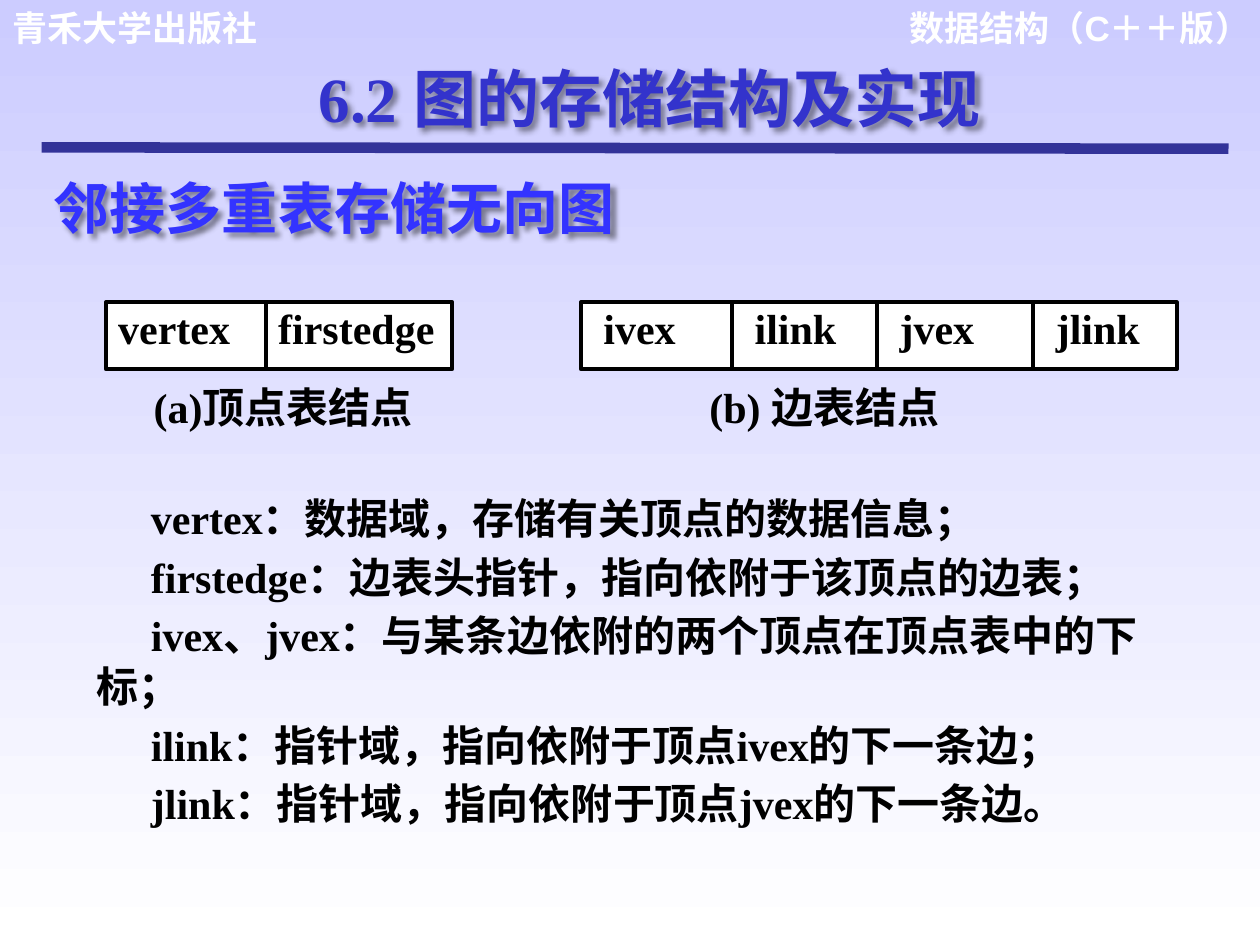
from lxml import etree
from pptx import Presentation
from pptx.dml.color import RGBColor
from pptx.enum.shapes import MSO_CONNECTOR, MSO_SHAPE
from pptx.enum.text import MSO_ANCHOR, PP_ALIGN
from pptx.oxml.ns import qn
from pptx.util import Inches, Pt

LEFT, RIGHT = PP_ALIGN.LEFT, PP_ALIGN.RIGHT
TOP, MIDDLE = MSO_ANCHOR.TOP, MSO_ANCHOR.MIDDLE
RECT, STRAIGHT = MSO_SHAPE.RECTANGLE, MSO_CONNECTOR.STRAIGHT

WHITE = RGBColor(0xFF, 0xFF, 0xFF)
BLACK = RGBColor(0, 0, 0)
LAVENDER = RGBColor(0xCC, 0xCC, 0xFF)
NAVY = RGBColor(0x33, 0x33, 0x99)
TITLE_BLUE = RGBColor(0x33, 0x33, 0xCC)
BRIGHT_BLUE = RGBColor(0x33, 0x33, 0xFF)

SERIF, SANS = "Times New Roman", "Arial"
COLS, ROWS = 100, 75


class Deck:
    """Holds the style and current slide; lengths are grid columns and rows."""

    def __init__(self):
        self.prs = Presentation()
        self.prs.slide_width, self.prs.slide_height = Inches(10), Inches(7.5)
        self.s = self.prs.slides.add_slide(self.prs.slide_layouts[6])

    def x(self, cols):
        return round(self.prs.slide_width * cols / COLS)

    def y(self, rows):
        return round(self.prs.slide_height * rows / ROWS)

    def box(self, left, top, width, height):
        return self.x(left), self.y(top), self.x(width), self.y(height)

    def background(self, start, end):
        fill = self.s.background.fill
        fill.gradient()
        fill.gradient_angle = 270
        for stop, color in zip(fill.gradient_stops, (start, end)):
            stop.color.rgb = color

    def set_text(self, sp, lines, size, color=BLACK, font=SERIF, align=LEFT, anchor=TOP):
        tf = sp.text_frame
        tf.word_wrap = True
        tf.vertical_anchor = anchor
        tf.text = "\n".join(lines)
        for p in tf.paragraphs:
            p.alignment = align
            for r in p.runs:
                r.font.name, r.font.size, r.font.bold = font, Pt(size), True
                r.font.color.rgb = color
        return tf

    def text(self, place, lines, size, **style):
        sp = self.s.shapes.add_textbox(*self.box(*place))
        self.set_text(sp, lines, size, **style)
        return sp

    def heading(self, place, line, size, color):
        """Adds a text box whose letters cast a soft shadow."""
        sp = self.text(place, [line], size, color=color)
        effects = etree.SubElement(sp._element.spPr, qn("a:effectLst"))
        shadow = etree.SubElement(effects, qn("a:outerShdw"), blurRad="38100",
                                  dist="38100", dir="2700000", algn="tl")
        tone = etree.SubElement(shadow, qn("a:srgbClr"), val="000000")
        etree.SubElement(tone, qn("a:alpha"), val="43000")

    def rule(self, x1, y1, x2, y2, color, width):
        line = self.s.shapes.add_connector(
            STRAIGHT, self.x(x1), self.y(y1), self.x(x2), self.y(y2))
        line.line.color.rgb, line.line.width = color, Pt(width)
        etree.SubElement(line._element.spPr, qn("a:effectLst"))

    def record(self, left, top, height, fields, inset):
        """Draws adjoining cells for a node's (name, width) fields."""
        for name, width in fields:
            sp = self.s.shapes.add_shape(RECT, *self.box(left, top, width, height))
            sp.shadow.inherit = False
            sp.fill.solid()
            sp.fill.fore_color.rgb = WHITE
            sp.line.color.rgb, sp.line.width = BLACK, Pt(2.25)
            tf = self.set_text(sp, [name], 24)
            tf.margin_left = self.x(inset)
            tf.margin_right = tf.margin_top = tf.margin_bottom = 0
            left += width

    def caption(self, place, line):
        tf = self.text(place, [line], 24).text_frame
        tf.margin_left = tf.margin_right = tf.margin_top = tf.margin_bottom = 0

    def definitions(self, place, lines, indent):
        sp = self.text(place, lines, 24, anchor=MIDDLE)
        for i, p in enumerate(sp.text_frame.paragraphs):
            p.space_before = Pt(4.8 if i else 0)
            pPr = p._p.get_or_add_pPr()
            pPr.set("marL", "0")
            pPr.set("indent", str(self.x(indent)))


def main():
    deck = Deck()
    deck.background(LAVENDER, WHITE)
    deck.text((70, 0, 30.2, 4.3), ["数据结构（C＋＋版）"], 20,
              color=WHITE, font=SANS, align=RIGHT)
    deck.text((0, 0, 27.1, 4.3), ["青禾大学出版社"], 20, color=WHITE, font=SANS)
    deck.rule(3.3, 11.7, 97.5, 11.8, NAVY, 6)

    deck.heading((24.3, 4.2, 55.8, 7), "6.2 图的存储结构及实现", 36, TITLE_BLUE)
    deck.heading((3.3, 13.3, 48.8, 6.3), "邻接多重表存储无向图", 32, BRIGHT_BLUE)

    deck.record(46.1, 24, 5.3, [("ivex", 12), ("ilink", 11.5),
                                ("jvex", 12.4), ("jlink", 11.4)], inset=1.8)
    deck.record(8.4, 24, 5.3, [("vertex", 12.7), ("firstedge", 14.8)], inset=1)
    deck.caption((12.2, 30.3, 26, 5.1), "(a)顶点表结点")
    deck.caption((56.3, 30.3, 26, 5.1), "(b) 边表结点")

    deck.definitions((6.7, 40.3, 87, 24.2), [
        "vertex：数据域，存储有关顶点的数据信息；",
        "firstedge：边表头指针，指向依附于该顶点的边表；",
        "ivex、jvex：与某条边依附的两个顶点在顶点表中的下标；",
        "ilink：指针域，指向依附于顶点ivex的下一条边；",
        "jlink：指针域，指向依附于顶点jvex的下一条边。",
    ], indent=4.3)
    deck.prs.save("out.pptx")


if __name__ == "__main__":
    main()
